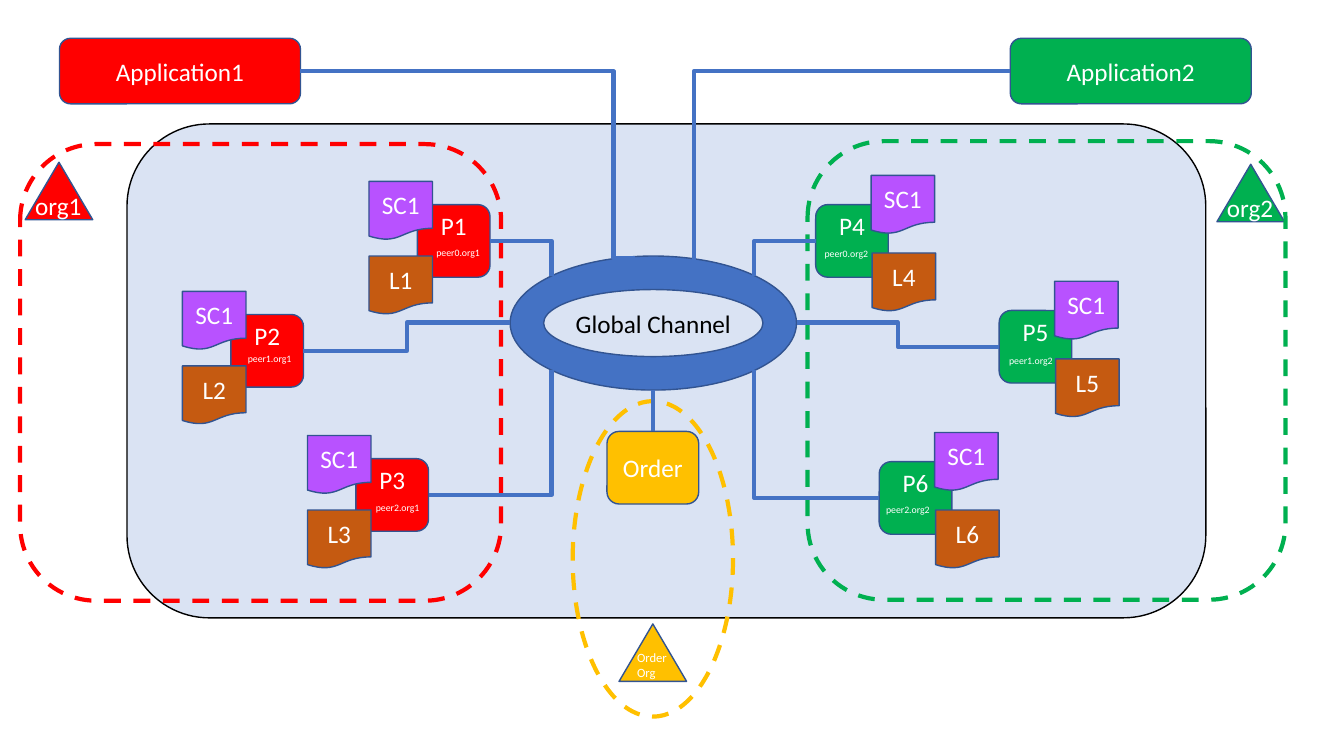
"""Build a slide of a two-organisation network sharing one global channel."""
from lxml.etree import SubElement
from pptx import Presentation
from pptx.dml.color import RGBColor as RGB
from pptx.enum.dml import MSO_LINE as Dash
from pptx.enum.shapes import MSO_CONNECTOR as Link, MSO_SHAPE as Kind
from pptx.enum.text import MSO_ANCHOR as Anchor, MSO_AUTO_SIZE as Auto, PP_ALIGN as Align
from pptx.oxml.ns import qn
from pptx.util import Inches, Pt

RED, GREEN, GOLD = RGB(255, 0, 0), RGB(0, 176, 80), RGB(255, 192, 0)
BLUE, NAVY, PALE = RGB(68, 114, 196), RGB(50, 84, 145), RGB(218, 227, 243)
PURPLE, BROWN = RGB(184, 82, 255), RGB(197, 90, 17)
BLACK, WHITE = RGB(0, 0, 0), RGB(255, 255, 255)

PANEL = (1.26, 1.23, 10.7, 4.9)
RING = (5.06, 2.54, 2.84, 1.33)
ORDER = (6.02, 4.28, 0.91, 0.72)
ZONES = [
    (Kind.ROUNDED_RECTANGLE, (0.2, 1.43, 4.77, 4.53), RED),
    (Kind.ROUNDED_RECTANGLE, (8.01, 1.4, 4.74, 4.55), GREEN),
    (Kind.OVAL, (5.68, 3.98, 1.59, 3.13), GOLD),
]
BADGES = [
    ("org1", 18, (0.25, 1.61), (0, 0.23), RED),
    ("org2", 18, (12.07, 1.63), (0, 0.23), GREEN),
    ("Order Org", 9, (6.14, 6.19), (0.08, 0.21), GOLD),
]
APPS = [
    ("Application1", 0.59, RED, 3, (6.3, 2.56), 93500),
    ("Application2", 10.02, GREEN, 1, (6.46, 2.73), 88100),
]
SIDES = [
    (RED, 3, (-0.48, -0.23), (-0.48, 0.51), [
        ("1", "peer0.org1", (4.14, 2.03), (0.09, 0.37), 1, (5.47, 2.74)),
        ("2", "peer1.org1", (2.29, 3.12), (0.07, 0.33), 2, (5.06, 3.2)),
        ("3", "peer2.org1", (3.53, 4.55), (0.1, 0.38), 3, (5.47, 3.67)),
    ]),
    (GREEN, 1, (0.55, -0.29), (0.56, 0.48), [
        ("4", "peer0.org2", (8.09, 2.03), (-0.01, 0.38), 7, (7.48, 2.74)),
        ("5", "peer1.org2", (9.91, 3.08), (0, 0.39), 6, (7.9, 3.2)),
        ("6", "peer2.org2", (8.72, 4.58), (-0.03, 0.37), 5, (7.48, 3.67)),
    ]),
]
MIDDLE = {"vertical_anchor": Anchor.MIDDLE, "word_wrap": True}
LIFTED = {**MIDDLE, "margin_bottom": Inches(0.35)}
GROW = {"word_wrap": True, "auto_size": Auto.SHAPE_TO_FIT_TEXT}
TIGHT = {**GROW, "word_wrap": False}


def shift(spot, step):
    return spot[0] + step[0], spot[1] + step[1]


def write(shape, text, size, color, align, form):
    frame = shape.text_frame
    for name, value in form.items():
        setattr(frame, name, value)
    para = frame.paragraphs[0]
    para.alignment = align
    run = para.add_run()
    run.text = text
    for name, value in {"name": "Calibri", "size": Pt(size)}.items():
        setattr(run.font, name, value)
    run.font.color.rgb = color


def draw(home, kind, box, fill, text="", color=WHITE, edge=NAVY, form=MIDDLE):
    shape = home.add_shape(kind, *map(Inches, box))
    shape.shadow.inherit = False
    shape.fill.solid()
    shape.fill.fore_color.rgb = fill
    shape.line.color.rgb = edge
    shape.line.width = Pt(1)
    if text:
        write(shape, text, 18, color, Align.CENTER, form)
    return shape


def label(home, box, text, size, form):
    note = home.add_textbox(*map(Inches, box))
    write(note, text, size, WHITE, Align.LEFT, form)


def outline(home, kind, box, color):
    zone = home.add_shape(kind, *map(Inches, box))
    zone.shadow.inherit = False
    zone.fill.background()
    for name, value in {"width": Pt(3), "dash_style": Dash.DASH}.items():
        setattr(zone.line, name, value)
    zone.line.color.rgb = color


def wire(home, kind, start, end):
    line = home.add_connector(kind, *map(Inches, start + end))
    line.line.color.rgb = BLUE
    line.line.width = Pt(3)
    SubElement(line._element.spPr, qn("a:effectLst"))
    return line


def bend(home, shape, side, end, ring=None, site=0, turn=None):
    start = (shape.left + shape.width * (side == 3), shape.top + shape.height // 2)
    line = wire(home, Link.ELBOW, tuple(v / Inches(1) for v in start), end)
    line.begin_connect(shape, side)
    node = line._element
    geom = node.find(".//" + qn("a:prstGeom"))
    if ring is not None:
        tie = node.find(".//" + qn("p:cNvCxnSpPr"))
        SubElement(tie, qn("a:endCxn"), id=str(ring.shape_id), idx=str(site))
        if site % 2:
            geom.set("prst", "bentConnector2")
    if turn:
        rule = geom.find(qn("a:avLst"))
        SubElement(rule, qn("a:gd"), name="adj1", fmla=f"val {turn}")
    if side == 1:
        frame = node.find(".//" + qn("a:xfrm"))
        flip = frame.get("flipV") == "1"
        frame.set("rot", "10800000")
        frame.set("flipH", "0")
        frame.set("flipV", "0" if flip else "1")


def main():
    deck = Presentation()
    deck.slide_width, deck.slide_height = Inches(13.33), Inches(7.5)
    home = deck.slides.add_slide(deck.slide_layouts[6]).shapes
    draw(home, Kind.ROUNDED_RECTANGLE, PANEL, PALE, edge=BLACK)
    for text, size, spot, step, color in BADGES:
        group = home.add_group_shape().shapes
        draw(group, Kind.ISOSCELES_TRIANGLE, spot + (0.67, 0.57), color)
        label(group, shift(spot, step) + (0.67, 0.4), text, size, GROW)
    ring = draw(home, Kind.DONUT, RING, BLUE, "Global Channel", BLACK)
    for zone in ZONES:
        outline(home, *zone)
    draw(home, Kind.ROUNDED_RECTANGLE, ORDER, GOLD, "Order")
    wire(home, Link.STRAIGHT, (6.48, 3.87), (6.48, 4.28))
    for text, left, color, side, end, turn in APPS:
        app = draw(home, Kind.ROUNDED_RECTANGLE, (left, 0.38, 2.39, 0.65), color, text)
        bend(home, app, side, end, turn=turn)
    for color, side, code, book, peers in SIDES:
        for num, name, spot, step, site, end in peers:
            group = home.add_group_shape().shapes
            peer = draw(group, Kind.ROUNDED_RECTANGLE, spot + (0.72, 0.72),
                        color, "P" + num, form=LIFTED)
            for text, move, fill in (("SC1", code, PURPLE), ("L" + num, book, BROWN)):
                draw(group, Kind.FLOWCHART_DOCUMENT, shift(spot, move) + (0.63, 0.58),
                     fill, text)
            bend(home, peer, side, end, ring, site)
            label(home, shift(spot, step) + (0.64, 0.22), name, 7, TIGHT)
    deck.save("out.pptx")


if __name__ == "__main__":
    main()
